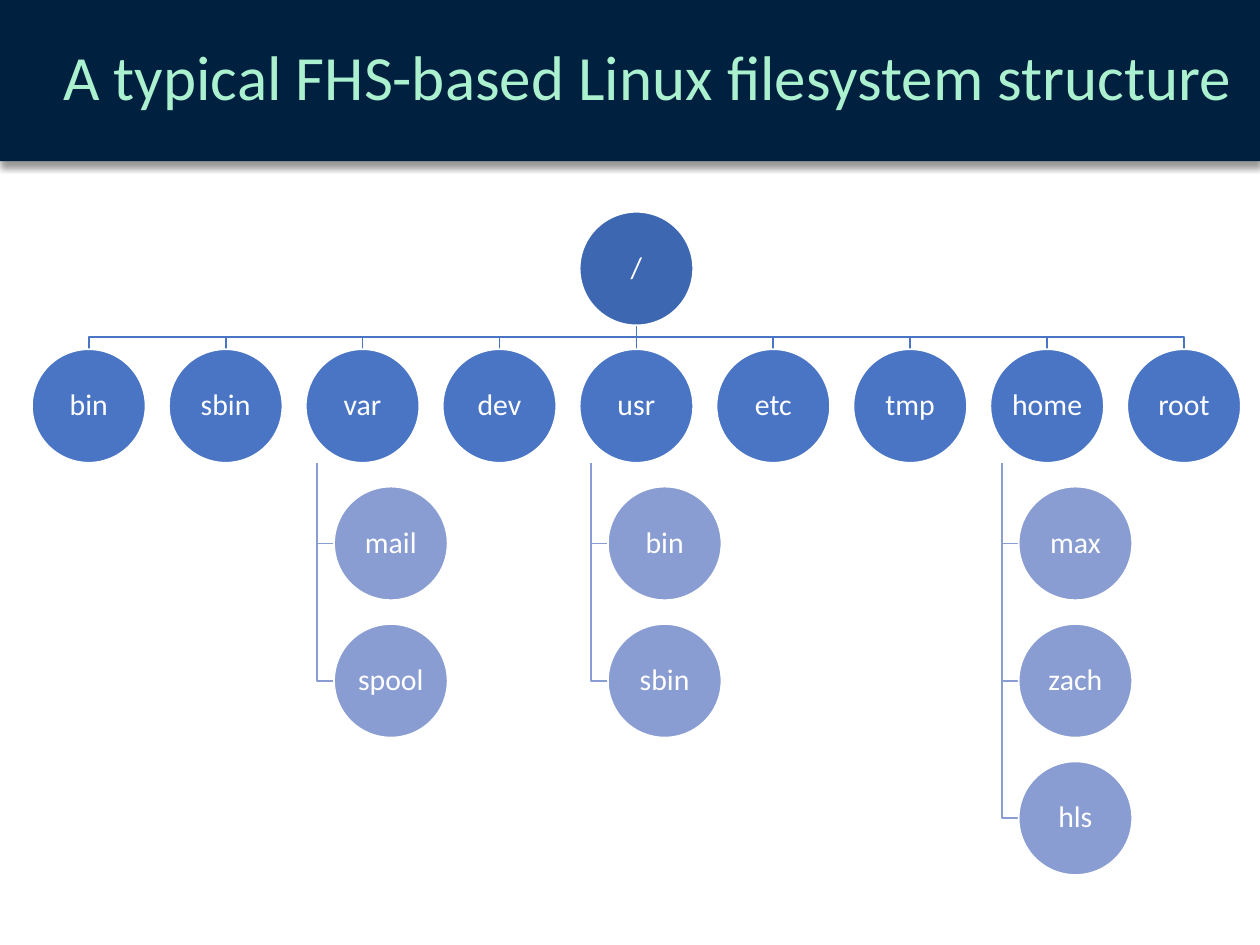
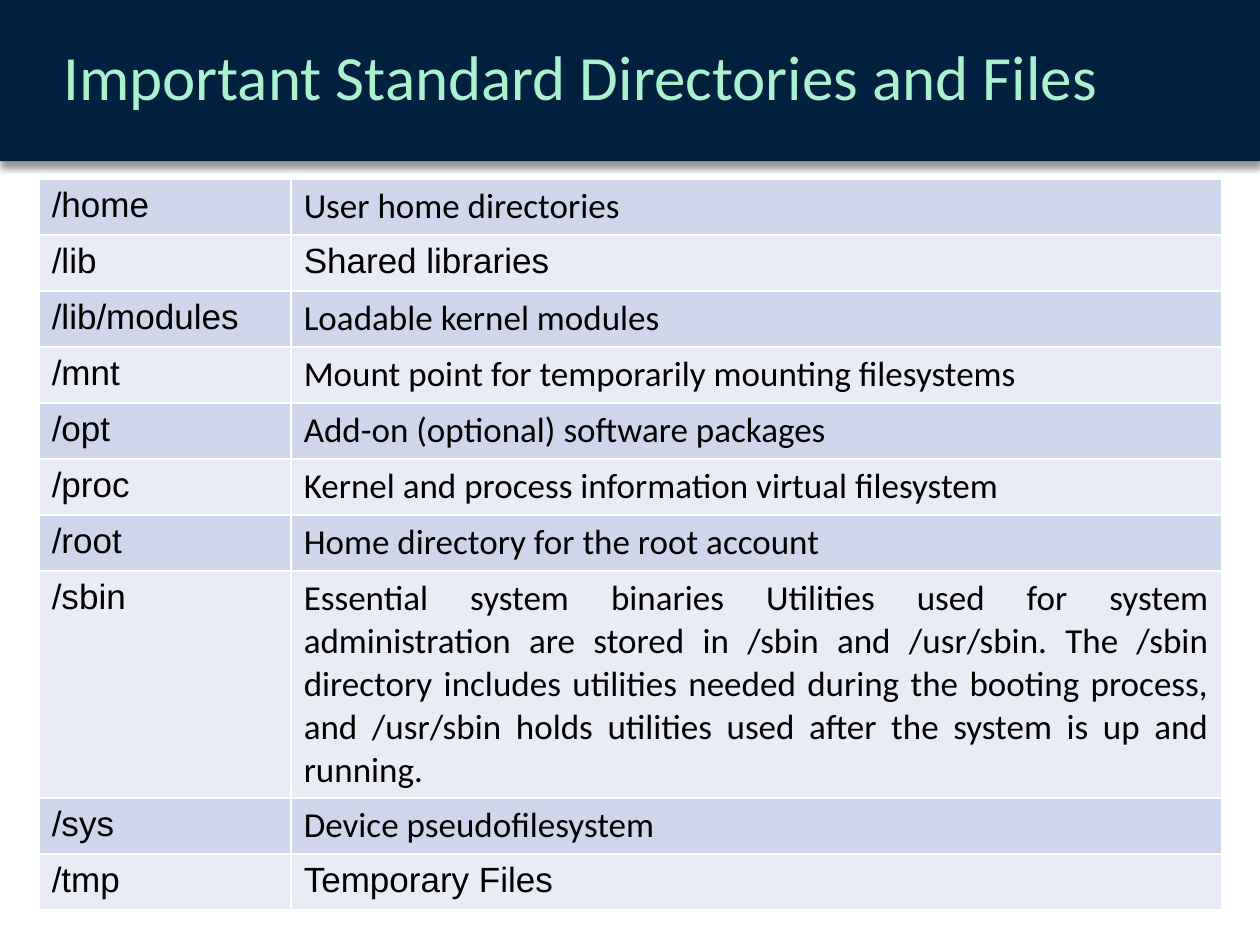
from dataclasses import dataclass

from lxml.etree import SubElement
from pptx import Presentation
from pptx.dml.color import RGBColor
from pptx.enum.shapes import MSO_CONNECTOR, MSO_SHAPE
from pptx.enum.text import MSO_ANCHOR, MSO_AUTO_SIZE, PP_ALIGN
from pptx.oxml import parse_xml
from pptx.oxml.ns import nsdecls, qn
from pptx.util import Cm, Pt

TREE_TITLE = "A typical FHS-based Linux filesystem structure"
ROOT = "/"
DIRECTORIES = {
    "bin": [],
    "sbin": [],
    "var": ["mail", "spool"],
    "dev": [],
    "usr": ["bin", "sbin"],
    "etc": [],
    "tmp": [],
    "home": ["max", "zach", "hls"],
    "root": [],
}

TABLE_TITLE = "Important Standard Directories and Files"
DESCRIPTIONS = [
    ("/home", "User home directories"),
    ("/lib", "Shared libraries"),
    ("/lib/modules", "Loadable kernel modules"),
    ("/mnt", "Mount point for temporarily mounting filesystems"),
    ("/opt", "Add-on (optional) software packages"),
    ("/proc", "Kernel and process information virtual filesystem"),
    ("/root", "Home directory for the root account"),
    ("/sbin", "Essential system binaries Utilities used for system "
              "administration are stored in /sbin and /usr/sbin. The /sbin "
              "directory includes utilities needed during the booting process, "
              "and /usr/sbin holds utilities used after the system is up and "
              "running."),
    ("/sys", "Device pseudofilesystem"),
    ("/tmp", "Temporary Files"),
]
ARIAL_DESCRIPTIONS = {"/lib", "/tmp"}
TALL_ROW = "/sbin"


@dataclass(frozen=True)
class Theme:
    band: str = "00203F"
    title: str = "ABF1CF"
    white: str = "FFFFFF"
    black: str = "000000"
    root: str = "3E67B2"
    directory: str = "4A75C5"
    subdirectory: str = "899DD2"
    row_fills: tuple = ("CFD5EA", "E9EBF5")
    font: str = "Calibri"
    path_font: str = "Arial"
    title_size: int = 36
    node_size: int = 17
    table_size: int = 20


THEME = Theme()

SLIDE_WIDTH, SLIDE_HEIGHT, BAND_HEIGHT = 25.4, 19.05, 3.25
TITLE_LEFT = 1.02

DIAMETER = 2.29
COLUMN_PITCH, ROW_PITCH = 2.76, 2.77
ROOT_CENTRE, ROOT_TOP = 12.83, 4.27
SUBDIRECTORY_INDENT, TRUNK_INDENT = 0.57, 0.23

TABLE_LEFT, TABLE_TOP = 0.79, 3.61
COLUMN_WIDTHS = (5.08, 18.75)
ROW_HEIGHT, TALL_ROW_HEIGHT = 1.13, 4.57


def rgb(colour):
    return RGBColor.from_string(colour)


def style_text(paragraph, size, colour, font, alignment):
    paragraph.alignment = alignment
    for run in paragraph.runs:
        run.font.size = Pt(size)
        run.font.name = font
        run.font.color.rgb = rgb(colour)


def prepare_layout(prs):
    """Give the title-only layout its title area and its shadowed band."""
    layout = prs.slide_layouts[5]
    title = layout.placeholders[0]
    title.left, title.top = Cm(TITLE_LEFT), Cm(0)
    title.width, title.height = Cm(SLIDE_WIDTH - TITLE_LEFT), Cm(BAND_HEIGHT)
    return layout


def add_band(slide, layout):
    """Draw the band, then hand it to the layout so that all slides share it."""
    band = slide.shapes.add_shape(
        MSO_SHAPE.RECTANGLE, Cm(0), Cm(0), Cm(SLIDE_WIDTH), Cm(BAND_HEIGHT))
    band.fill.solid()
    band.fill.fore_color.rgb = rgb(THEME.band)
    band.line.fill.background()
    band.shadow.inherit = False
    effects = band.element.spPr.find(qn("a:effectLst"))
    effects.append(parse_xml(
        f'<a:outerShdw {nsdecls("a")} blurRad="{Pt(4)}" dist="{Pt(3)}" '
        f'dir="5400000" algn="t" rotWithShape="0"><a:srgbClr val="{THEME.black}">'
        '<a:alpha val="40000"/></a:srgbClr></a:outerShdw>'))
    layout.shapes.element.insert(2, band.element)


def add_titled_slide(prs, layout, title):
    slide = prs.slides.add_slide(layout)
    frame = slide.shapes.title.text_frame
    frame.text = title
    frame.auto_size = MSO_AUTO_SIZE.NONE
    frame.vertical_anchor = MSO_ANCHOR.MIDDLE
    heading = frame.paragraphs[0]
    heading.line_spacing = 0.9
    heading.space_after = Pt(6)
    style_text(heading, THEME.title_size, THEME.title, THEME.font, PP_ALIGN.LEFT)
    return slide


def add_branch(slide, points, colour):
    """Draw a branch: a connector for two points, an open outline for more."""
    corners = [(Cm(x), Cm(y)) for x, y in points]
    if len(corners) == 2:
        branch = slide.shapes.add_connector(
            MSO_CONNECTOR.STRAIGHT, *corners[0], *corners[1])
        SubElement(branch.element.spPr, qn("a:effectLst"))
    else:
        builder = slide.shapes.build_freeform(*corners[0])
        builder.add_line_segments(corners[1:], close=False)
        branch = builder.convert_to_shape()
        branch.fill.background()
        branch.shadow.inherit = False
    branch.line.color.rgb = rgb(colour)
    branch.line.width = Pt(1)


def add_node(slide, name, left, top, colour):
    node = slide.shapes.add_shape(
        MSO_SHAPE.FLOWCHART_CONNECTOR, Cm(left), Cm(top), Cm(DIAMETER), Cm(DIAMETER))
    node.fill.solid()
    node.fill.fore_color.rgb = rgb(colour)
    node.line.color.rgb = rgb(THEME.white)
    node.line.width = Pt(1)
    node.shadow.inherit = False
    frame = node.text_frame
    frame.text = name
    frame.word_wrap = True
    frame.vertical_anchor = MSO_ANCHOR.MIDDLE
    frame.margin_left = frame.margin_right = Cm(0.03)
    frame.margin_top = frame.margin_bottom = Cm(0.03)
    frame.paragraphs[0].line_spacing = 0.9
    style_text(frame.paragraphs[0], THEME.node_size, THEME.white, THEME.font,
               PP_ALIGN.CENTER)


def add_tree(slide):
    radius = DIAMETER / 2
    root_bottom = ROOT_TOP + DIAMETER
    top = ROOT_TOP + ROW_PITCH
    bus = (root_bottom + top) / 2
    middle = len(DIRECTORIES) // 2
    nodes = [(ROOT, ROOT_CENTRE - radius, ROOT_TOP, THEME.root)]

    for column, (directory, subdirectories) in enumerate(DIRECTORIES.items()):
        centre = ROOT_CENTRE + (column - middle) * COLUMN_PITCH
        left = centre - radius
        bends = [] if column == middle else [(ROOT_CENTRE, bus), (centre, bus)]
        add_branch(slide, [(ROOT_CENTRE, root_bottom), *bends, (centre, top)],
                   THEME.directory)
        nodes.append((directory, left, top, THEME.directory))

        trunk = left + TRUNK_INDENT
        child_left = left + SUBDIRECTORY_INDENT
        for level, subdirectory in enumerate(subdirectories, start=1):
            child_top = top + level * ROW_PITCH
            child_middle = child_top + radius
            add_branch(slide, [(trunk, top + DIAMETER), (trunk, child_middle),
                               (child_left, child_middle)], THEME.subdirectory)
            nodes.append((subdirectory, child_left, child_top, THEME.subdirectory))

    for node in nodes:
        add_node(slide, *node)


def format_cell(cell, text, font, fill):
    cell.text = text
    style_text(cell.text_frame.paragraphs[0], THEME.table_size, THEME.black, font,
               PP_ALIGN.JUSTIFY)
    properties = cell._tc.get_or_add_tcPr()
    for side in ("lnL", "lnR", "lnT", "lnB"):
        properties.append(parse_xml(
            f'<a:{side} {nsdecls("a")} w="{Pt(1)}"><a:solidFill>'
            f'<a:srgbClr val="{THEME.white}"/></a:solidFill></a:{side}>'))
    cell.fill.solid()
    cell.fill.fore_color.rgb = rgb(fill)


def add_directory_table(slide):
    heights = [TALL_ROW_HEIGHT if path == TALL_ROW else ROW_HEIGHT
               for path, _ in DESCRIPTIONS]
    table = slide.shapes.add_table(
        len(DESCRIPTIONS), len(COLUMN_WIDTHS), Cm(TABLE_LEFT), Cm(TABLE_TOP),
        Cm(sum(COLUMN_WIDTHS)), Cm(sum(heights))).table
    table.first_row = table.horz_banding = False
    for column, width in zip(table.columns, COLUMN_WIDTHS):
        column.width = Cm(width)
    for index, (path, description) in enumerate(DESCRIPTIONS):
        table.rows[index].height = Cm(heights[index])
        fill = THEME.row_fills[index % 2]
        font = THEME.path_font if path in ARIAL_DESCRIPTIONS else THEME.font
        format_cell(table.cell(index, 0), path, THEME.path_font, fill)
        format_cell(table.cell(index, 1), description, font, fill)


def main():
    prs = Presentation()
    prs.slide_width, prs.slide_height = Cm(SLIDE_WIDTH), Cm(SLIDE_HEIGHT)
    layout = prepare_layout(prs)

    tree_slide = add_titled_slide(prs, layout, TREE_TITLE)
    add_band(tree_slide, layout)
    add_tree(tree_slide)

    table_slide = add_titled_slide(prs, layout, TABLE_TITLE)
    add_directory_table(table_slide)

    prs.save("out.pptx")


if __name__ == "__main__":
    main()
